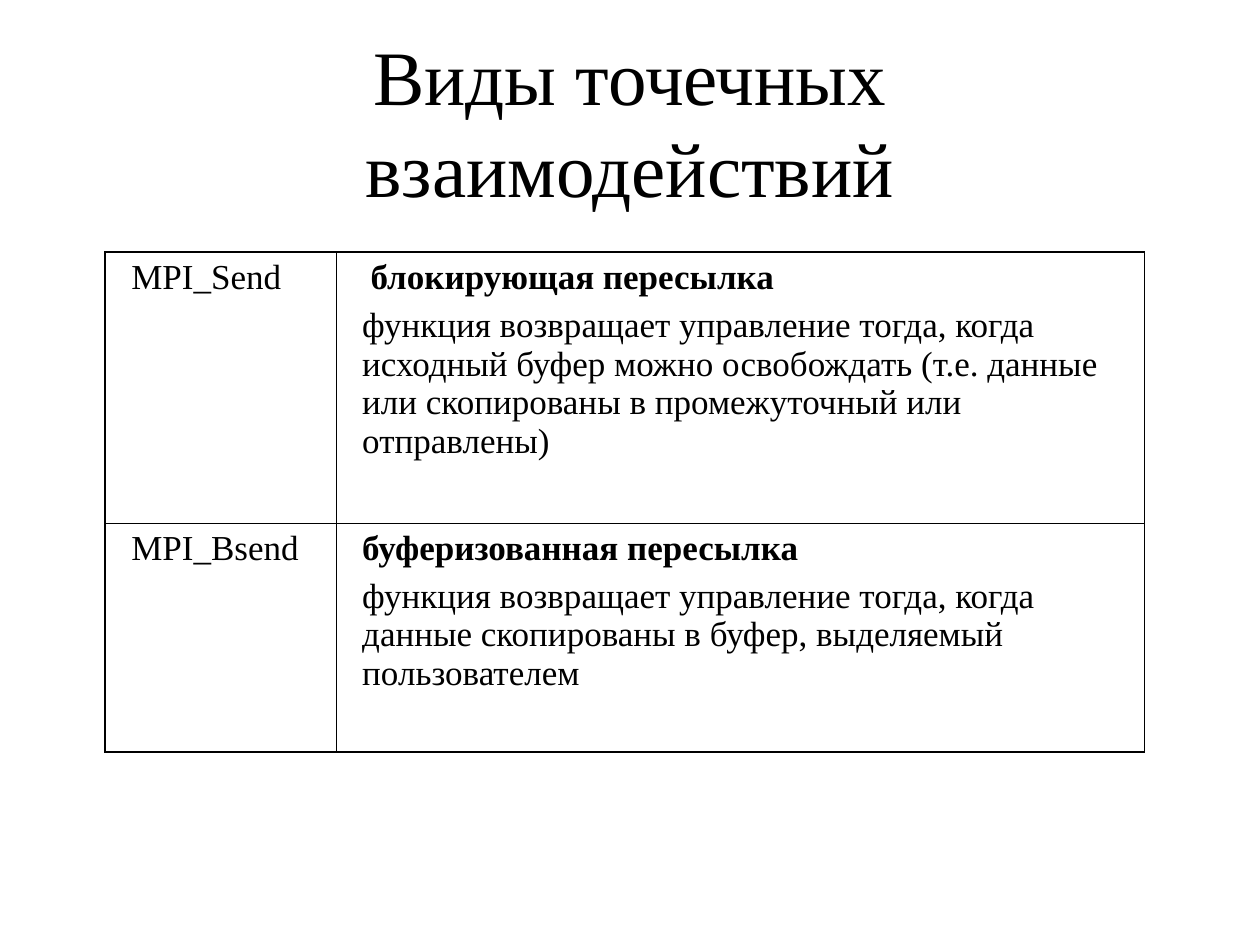
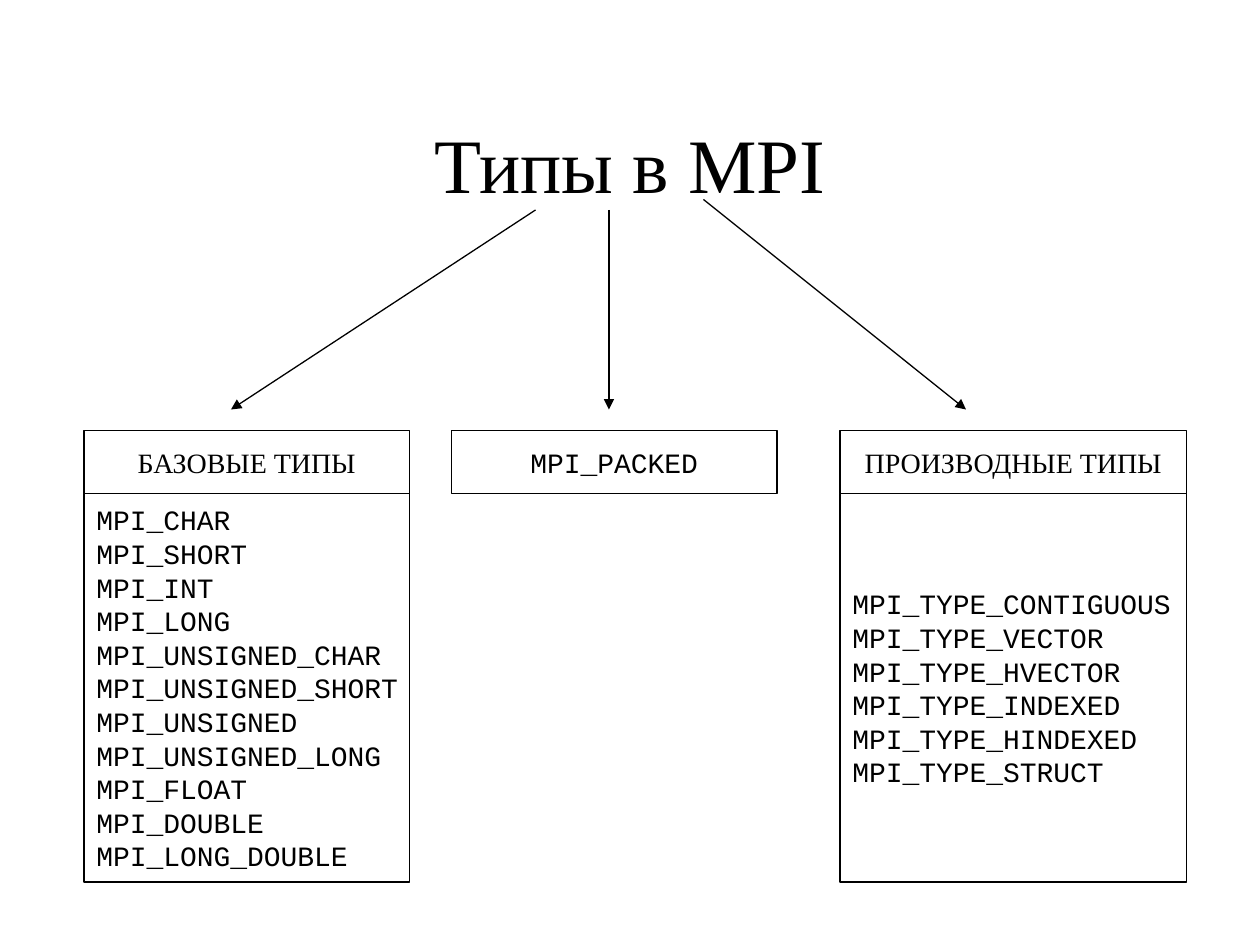
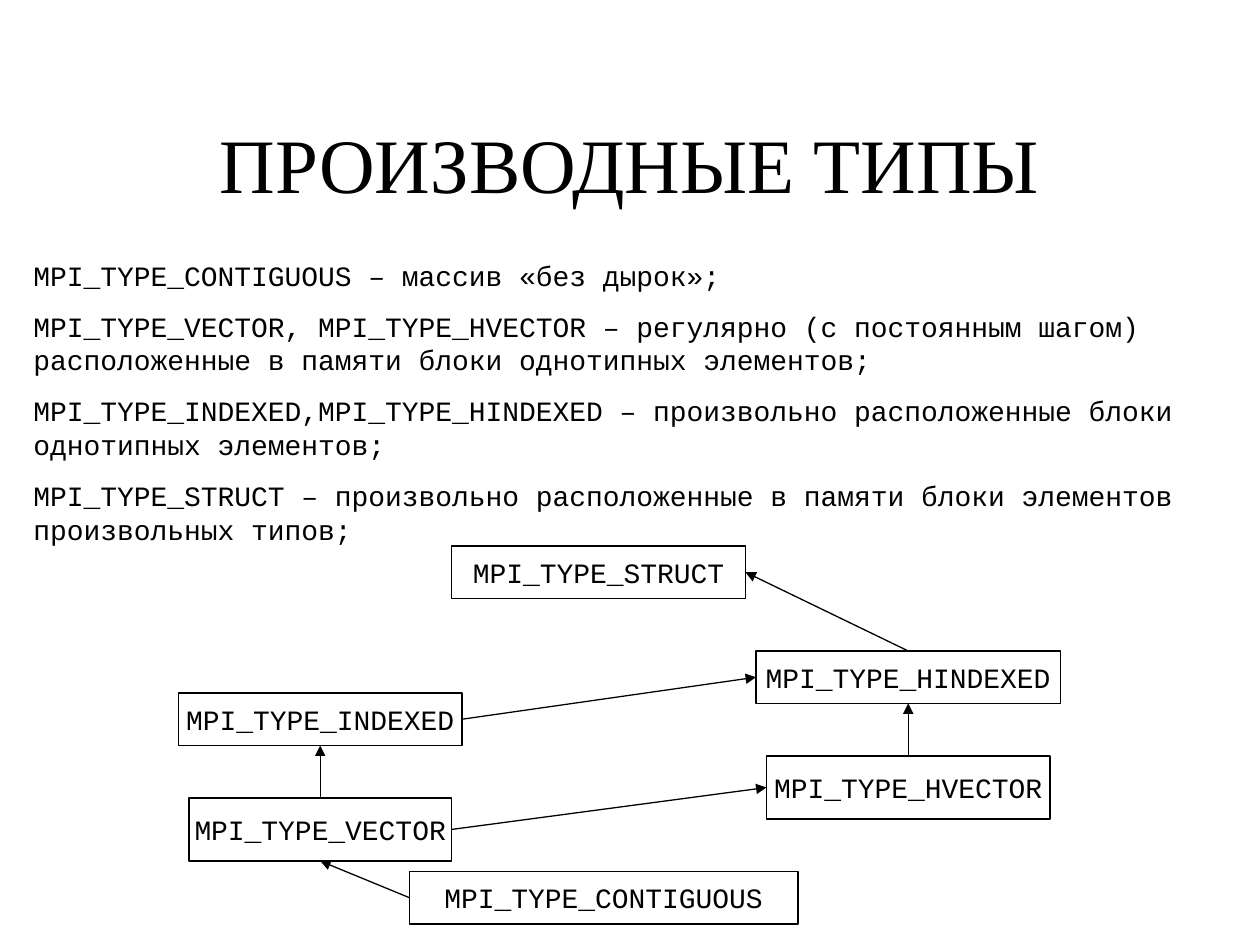
from pptx import Presentation
from pptx.dml.color import RGBColor
from pptx.enum.shapes import MSO_CONNECTOR, MSO_SHAPE
from pptx.enum.text import MSO_ANCHOR, PP_ALIGN
from pptx.oxml import parse_xml
from pptx.oxml.ns import nsdecls
from pptx.util import Pt
from lxml.etree import SubElement
from pptx.oxml.ns import qn

PX = 7620  # 120 px to the inch
INK = {"text": "000000", "line": "000000"}
SERIF, MONO = "Times New Roman", "Courier New"
THIN, THICK = 0.45, 1.08

# function, indent of the heading, heading, meaning
SENDS = [
    ("MPI_Send", 8, "блокирующая пересылка",
     "функция возвращает управление тогда, когда исходный буфер можно освобождать "
     "(т.е. данные или скопированы в промежуточный или отправлены)"),
    ("MPI_Bsend", 0, "буферизованная пересылка",
     "функция возвращает управление тогда, когда данные скопированы в буфер, "
     "выделяемый пользователем"),
]
COLS, ROWS = (220, 770), (258, 218)

# left, width, heading, font, members
GROUPS = [
    (80, 310, "БАЗОВЫЕ ТИПЫ", SERIF,
     ["MPI_CHAR", "MPI_SHORT", "MPI_INT", "MPI_LONG", "MPI_UNSIGNED_CHAR",
      "MPI_UNSIGNED_SHORT", "MPI_UNSIGNED", "MPI_UNSIGNED_LONG", "MPI_FLOAT",
      "MPI_DOUBLE", "MPI_LONG_DOUBLE"]),
    (800, 330, "ПРОИЗВОДНЫЕ ТИПЫ", SERIF,
     ["MPI_TYPE_CONTIGUOUS", "MPI_TYPE_VECTOR", "MPI_TYPE_HVECTOR",
      "MPI_TYPE_INDEXED", "MPI_TYPE_HINDEXED", "MPI_TYPE_STRUCT"]),
    (430, 310, "MPI_PACKED", MONO, []),
]
HEAD_TOP, HEAD_H, LIST_H = 410, 60, 370
RAYS = [(510, 200, 220, 390), (580, 200, 580, 390), (670, 190, 920, 390)]

NOTES = [
    "MPI_TYPE_CONTIGUOUS – массив «без дырок»;",
    "MPI_TYPE_VECTOR, MPI_TYPE_HVECTOR – регулярно (с постоянным шагом) "
    "расположенные в памяти блоки однотипных элементов;",
    "MPI_TYPE_INDEXED,MPI_TYPE_HINDEXED – произвольно расположенные блоки "
    "однотипных элементов;",
    "MPI_TYPE_STRUCT – произвольно расположенные в памяти блоки элементов "
    "произвольных типов;",
]
NODES = {
    "STRUCT": (430, 520, 280, 50),
    "VECTOR": (180, 760, 250, 60),
    "HVECTOR": (730, 720, 270, 60),
    "INDEXED": (170, 660, 270, 50),
    "HINDEXED": (720, 620, 290, 50),
    "CONTIGUOUS": (390, 830, 370, 50),
}
TOP, LEFT, BOTTOM, RIGHT = range(4)
LINKS = [
    ("CONTIGUOUS", LEFT, "VECTOR", BOTTOM),
    ("VECTOR", TOP, "INDEXED", BOTTOM),
    ("HVECTOR", TOP, "HINDEXED", BOTTOM),
    ("HINDEXED", TOP, "STRUCT", RIGHT),
    ("VECTOR", RIGHT, "HVECTOR", LEFT),
    ("INDEXED", RIGHT, "HINDEXED", LEFT),
]


def emu(*nums):
    return [n * PX for n in nums]


def color(name):
    return RGBColor.from_string(INK[name])


def write(frame, lines, size=16, face=MONO, align=PP_ALIGN.LEFT, gap=0,
          head=False, indent=0):
    """Fill a frame, one paragraph a line; head makes the first line bold."""
    for i, line in enumerate(lines):
        para = frame.paragraphs[0] if i == 0 else frame.add_paragraph()
        para.alignment = align
        if i:
            para.space_before = Pt(gap)
        elif indent:
            para._p.get_or_add_pPr().set("indent", str(indent * PX))
        run = para.add_run()
        run.text = line
        font = run.font
        font.size, font.name, font.bold = Pt(size), face, head and i == 0
        font.color.rgb = color("text")


def label(slide, place, lines, anchor=MSO_ANCHOR.TOP, **fmt):
    frame = slide.shapes.add_textbox(*emu(*place)).text_frame
    frame.word_wrap = True
    frame.vertical_anchor = anchor
    write(frame, lines, **fmt)


def start(deck, title, top=80):
    """Add a blank slide with its title."""
    slide = deck.slides.add_slide(deck.slide_layouts[6])
    label(slide, (90, top, 1020, 150), [title], MSO_ANCHOR.MIDDLE,
          size=44, face=SERIF, align=PP_ALIGN.CENTER)
    return slide


def box(slide, place, lines, form=MSO_SHAPE.RECTANGLE, align=PP_ALIGN.CENTER, **fmt):
    shape = slide.shapes.add_shape(form, *emu(*place))
    shape.shadow.inherit = False
    shape.fill.background()
    shape.line.color.rgb = color("line")
    shape.line.width = Pt(0.75)
    frame = shape.text_frame
    frame.word_wrap = False
    frame.vertical_anchor = MSO_ANCHOR.MIDDLE
    write(frame, lines, align=align, **fmt)
    return shape


def arrow(slide, ends=(0, 0, 0, 0)):
    link = slide.shapes.add_connector(MSO_CONNECTOR.STRAIGHT, *emu(*ends))
    link.line.color.rgb = color("line")
    link.line.width = Pt(0.75)
    SubElement(link.line._get_or_add_ln(), qn("a:tailEnd"), type="triangle")
    SubElement(link._element.spPr, qn("a:effectLst"))
    return link


def border(cell, row, col):
    """Draw thick lines on the outside of the table and thin ones inside."""
    outer = {"L": col == 0, "R": col == len(COLS) - 1,
             "T": row == 0, "B": row == len(ROWS) - 1}
    for side, edge in outer.items():
        width = Pt(THICK if edge else THIN)
        cell._tc.get_or_add_tcPr().append(parse_xml(
            f'<a:ln{side} {nsdecls("a")} w="{width}"><a:solidFill>'
            f'<a:srgbClr val="{INK["line"]}"/></a:solidFill></a:ln{side}>'))


def sends(deck):
    slide = start(deck, "Виды точечных взаимодействий", top=40)
    place = emu(100, 240, sum(COLS), sum(ROWS))
    table = slide.shapes.add_table(len(ROWS), len(COLS), *place).table
    table.first_row = table.horz_banding = False
    for col, width in zip(table.columns, COLS):
        col.width = width * PX
    for r, (name, indent, head, text) in enumerate(SENDS):
        table.rows[r].height = ROWS[r] * PX
        for c, lines in enumerate(([name], [head, text])):
            cell = table.cell(r, c)
            cell.margin_left = cell.margin_right = 25 * PX
            border(cell, r, c)
            cell.fill.background()
            write(cell.text_frame, lines, size=20, face=SERIF, gap=5,
                  head=c == 1, indent=c * indent)


def types(deck):
    slide = start(deck, "Типы в MPI")
    form = MSO_SHAPE.FLOWCHART_PROCESS
    for left, width, head, face, names in GROUPS:
        box(slide, (left, HEAD_TOP, width, HEAD_H), [head], form, face=face)
        if names:
            box(slide, (left, HEAD_TOP + HEAD_H, width, LIST_H), names, form,
                PP_ALIGN.LEFT)
    for ends in RAYS:
        arrow(slide, ends)


def derived(deck):
    slide = start(deck, "ПРОИЗВОДНЫЕ ТИПЫ")
    label(slide, (20, 240, 1180, 335), NOTES, gap=10)
    nodes = {name: box(slide, place, ["MPI_TYPE_" + name])
             for name, place in NODES.items()}
    for tail, out, head, into in LINKS:
        link = arrow(slide)
        link.begin_connect(nodes[tail], out)
        link.end_connect(nodes[head], into)


def main():
    deck = Presentation()
    deck.slide_width, deck.slide_height = emu(1200, 900)
    for build in (sends, types, derived):
        build(deck)
    deck.save("out.pptx")


if __name__ == "__main__":
    main()
